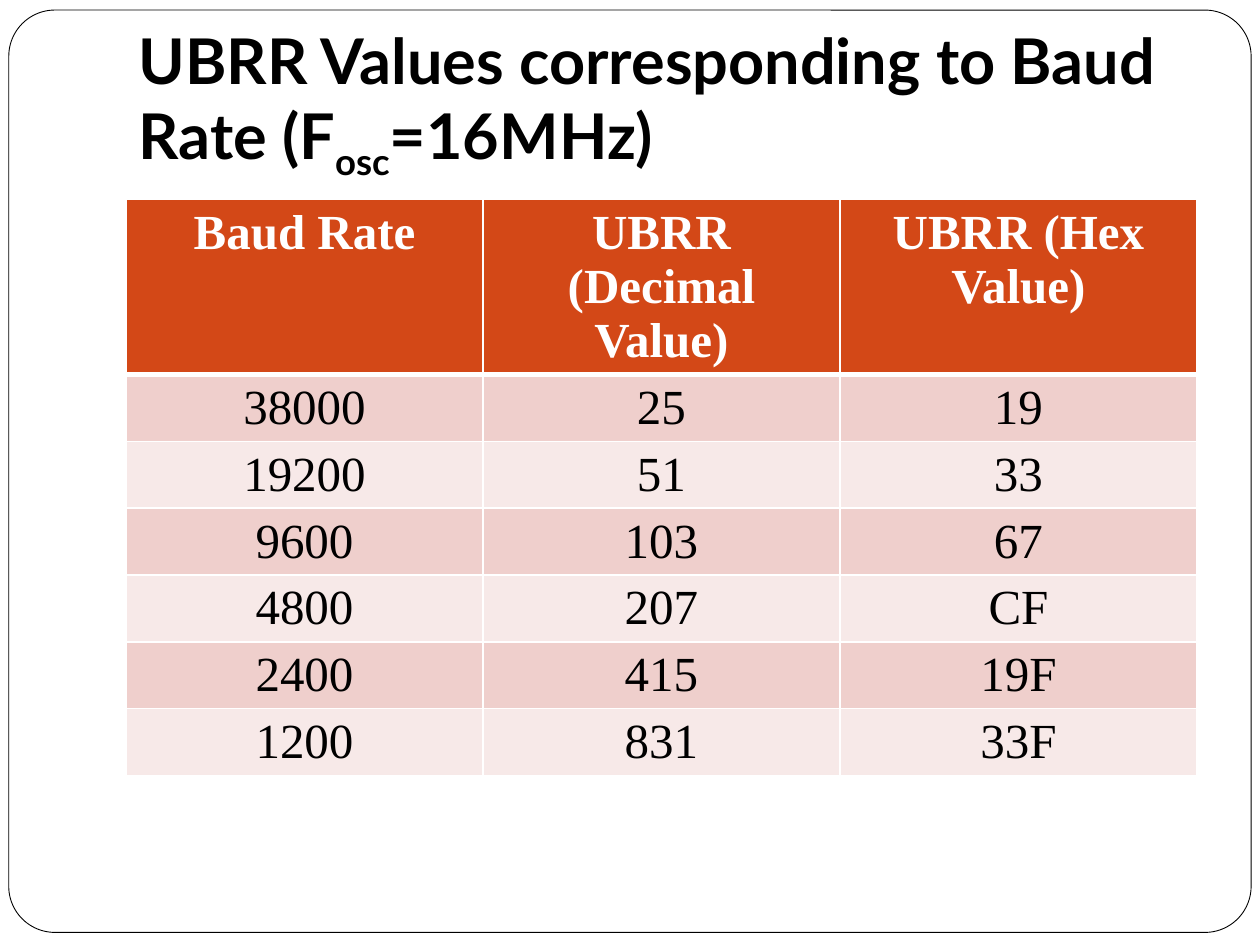
import pptx
import pptx.dml.color
import pptx.enum.shapes
import pptx.enum.text
import pptx.oxml
import pptx.oxml.ns
import pptx.util
from pptx.util import Inches

INK, PAPER, ACCENT = "000000", "FFFFFF", "D34817"
BANDS = ("EFCFCC", "F7E9E8")

HEADINGS = ("Baud Rate", "UBRR (Decimal Value)", "UBRR (Hex Value)")
BAUD_SETTINGS = (
    ("38000", "25", "19"),
    ("19200", "51", "33"),
    ("9600", "103", "67"),
    ("4800", "207", "CF"),
    ("2400", "415", "19F"),
    ("1200", "831", "33F"),
)


def rgb(hex_colour):
    return pptx.dml.color.RGBColor.from_string(hex_colour)


def set_borders(cell, bottom_width):
    """Draw 1 pt paper-coloured cell borders, with a chosen bottom width."""
    properties = cell._tc.get_or_add_tcPr()
    widths = {"lnL": 1, "lnR": 1, "lnT": 1, "lnB": bottom_width}
    for position, (side, width) in enumerate(widths.items()):
        border = pptx.oxml.parse_xml(
            f'<a:{side} {pptx.oxml.ns.nsdecls("a")} w="{pptx.util.Pt(width)}">'
            f'<a:solidFill><a:srgbClr val="{PAPER}"/></a:solidFill></a:{side}>'
        )
        properties.insert(position, border)


class SlideWriter:
    """Holds the fonts and sizes together with the slide being written."""

    title_font, title_size = "Lato", 36
    table_font, table_size = "Times New Roman", 28

    def __init__(self, slide):
        self.slide = slide

    def add_run(self, paragraph, text, font, size, colour, bold, baseline=0):
        run = paragraph.add_run()
        run.text = text
        run.font.name = font
        run.font.size = pptx.util.Pt(size)
        run.font.bold = bold
        run.font.color.rgb = rgb(colour)
        if baseline:
            run._r.get_or_add_rPr().set("baseline", str(baseline * 1000))

    def frame(self, left, top, width, height):
        """Add the rounded page outline behind the title."""
        outline = self.slide.shapes.add_shape(
            pptx.enum.shapes.MSO_SHAPE.ROUNDED_RECTANGLE, left, top, width, height
        )
        outline.adjustments[0] = 0.05
        outline.shadow.inherit = False
        outline.fill.solid()
        outline.fill.fore_color.rgb = rgb(PAPER)
        outline.line.color.rgb = rgb(INK)
        outline.line.width = pptx.util.Pt(0.5)
        self.slide.shapes.title.element.addprevious(outline.element)

    def title(self, parts, left, top, width, height):
        """Fill the title with (text, baseline percent) parts."""
        heading = self.slide.shapes.title
        heading.left, heading.top = left, top
        heading.width, heading.height = width, height
        text = heading.text_frame
        text.word_wrap = True
        text.auto_size = pptx.enum.text.MSO_AUTO_SIZE.NONE
        text.vertical_anchor = pptx.enum.text.MSO_ANCHOR.BOTTOM
        text.margin_left = text.margin_right = text.margin_bottom = Inches(0.1)
        text.margin_top = Inches(0.05)
        paragraph = text.paragraphs[0]
        paragraph.alignment = pptx.enum.text.PP_ALIGN.LEFT
        for words, baseline in parts:
            self.add_run(paragraph, words, self.title_font, self.title_size,
                         INK, True, baseline)

    def table(self, rows, left, top, width, height, row_height):
        """Add a banded table; row_height is a minimum that grows with the text."""
        holder = self.slide.shapes.add_table(
            len(rows), len(rows[0]), left, top, width, height
        )
        for row_index, values in enumerate(rows):
            is_header = row_index == 0
            fill = ACCENT if is_header else BANDS[(row_index - 1) % 2]
            holder.table.rows[row_index].height = row_height
            for column, value in enumerate(values):
                cell = holder.table.cell(row_index, column)
                cell.fill.solid()
                cell.fill.fore_color.rgb = rgb(fill)
                set_borders(cell, 3 if is_header else 1)
                paragraph = cell.text_frame.paragraphs[0]
                paragraph.alignment = pptx.enum.text.PP_ALIGN.CENTER
                self.add_run(paragraph, value, self.table_font, self.table_size,
                             PAPER if is_header else INK, is_header)
        holder.height = height


def main():
    deck = pptx.Presentation()
    deck.slide_width, deck.slide_height = Inches(10), Inches(7.5)
    title_only = deck.slide_layouts[5]
    writer = SlideWriter(deck.slides.add_slide(title_only))
    writer.frame(Inches(0.07), Inches(0.08), Inches(9.86), Inches(7.32))
    writer.title(
        (("UBRR Values corresponding to Baud Rate (F", 0), ("osc", -25), ("=16MHz)", 0)),
        Inches(1), Inches(0.3), Inches(8.5), Inches(1.25),
    )
    writer.table((HEADINGS, *BAUD_SETTINGS), Inches(1), Inches(1.58),
                 Inches(8.5), Inches(4.43), row_height=Inches(0.41))
    deck.save("out.pptx")


if __name__ == "__main__":
    main()
